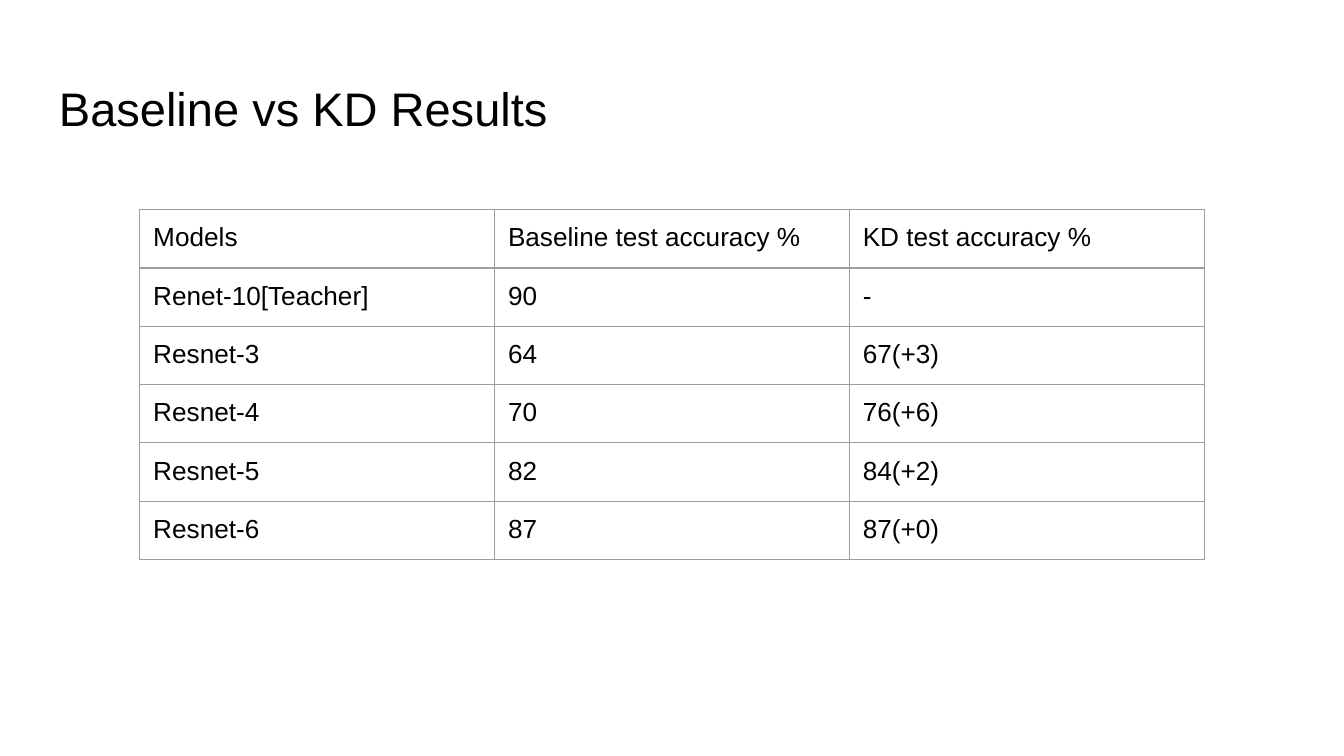
from pptx import Presentation
from pptx.dml.color import RGBColor
from pptx.enum.text import MSO_ANCHOR
from pptx.oxml import parse_xml
from pptx.oxml.ns import nsdecls
from pptx.util import Inches, Pt

# Content
TITLE = "Baseline vs KD Results"
RESULTS = [
    ("Models", "Baseline test accuracy %", "KD test accuracy %"),
    ("Renet-10[Teacher]", "90", "-"),
    ("Resnet-3", "64", "67(+3)"),
    ("Resnet-4", "70", "76(+6)"),
    ("Resnet-5", "82", "84(+2)"),
    ("Resnet-6", "87", "87(+0)"),
]

# Format
BLACK = RGBColor(0x00, 0x00, 0x00)
GRAY = RGBColor(0x9E, 0x9E, 0x9E)
FONT = "Arial"
TITLE_SIZE, CELL_SIZE = 25.2, 14
MARGIN = Inches(0.1)
COLUMN_WIDTH, ROW_HEIGHT = 2.64, 0.42
BORDER_WIDTH = Pt(0.75)


def write(frame, text, size):
    para = frame.paragraphs[0]
    for name, value in {"line_spacing": 1.0, "space_before": Pt(0), "space_after": Pt(0)}.items():
        setattr(para, name, value)
    span = para.add_run()
    span.text = text
    for name, value in {"name": FONT, "size": Pt(size)}.items():
        setattr(span.font, name, value)
    span.font.color.rgb = BLACK
    # The paragraph end takes the same font, so it does not stretch the line
    para._p.append(parse_xml(
        f'<a:endParaRPr {nsdecls("a")} sz="{round(size * 100)}">'
        f'<a:latin typeface="{FONT}"/></a:endParaRPr>'))


def set_margins(target):
    for side in ("left", "top", "right", "bottom"):
        setattr(target, f"margin_{side}", MARGIN)


def add_borders(cell):
    # Borders come before the fill in the cell properties
    properties = cell._tc.get_or_add_tcPr()
    for index, side in enumerate(("lnL", "lnR", "lnT", "lnB")):
        properties.insert(index, parse_xml(
            f'<a:{side} {nsdecls("a")} w="{BORDER_WIDTH}"><a:solidFill>'
            f'<a:srgbClr val="{GRAY}"/></a:solidFill></a:{side}>'))


# Widescreen page, 16 to 9
deck = Presentation()
deck.slide_width = Inches(10)
deck.slide_height = deck.slide_width * 9 // 16
page = deck.slides.add_slide(deck.slide_layouts[6])

# Title
box = page.shapes.add_textbox(Inches(0.34), Inches(0.49), Inches(9.32), Inches(0.63))
box.text_frame.word_wrap = True
box.text_frame.vertical_anchor = MSO_ANCHOR.MIDDLE
set_margins(box.text_frame)
write(box.text_frame, TITLE, TITLE_SIZE)

# Results table
row_count, column_count = len(RESULTS), len(RESULTS[0])
table = page.shapes.add_table(
    row_count, column_count, Inches(1.04), Inches(1.56),
    Inches(COLUMN_WIDTH * column_count), Inches(ROW_HEIGHT * row_count)).table
table.first_row = table.horz_banding = False
for column in table.columns:
    column.width = Inches(COLUMN_WIDTH)
for row, values in zip(table.rows, RESULTS):
    row.height = Inches(ROW_HEIGHT)
    for cell, value in zip(row.cells, values):
        set_margins(cell)
        cell.fill.background()
        add_borders(cell)
        write(cell.text_frame, value, CELL_SIZE)

deck.save("out.pptx")
